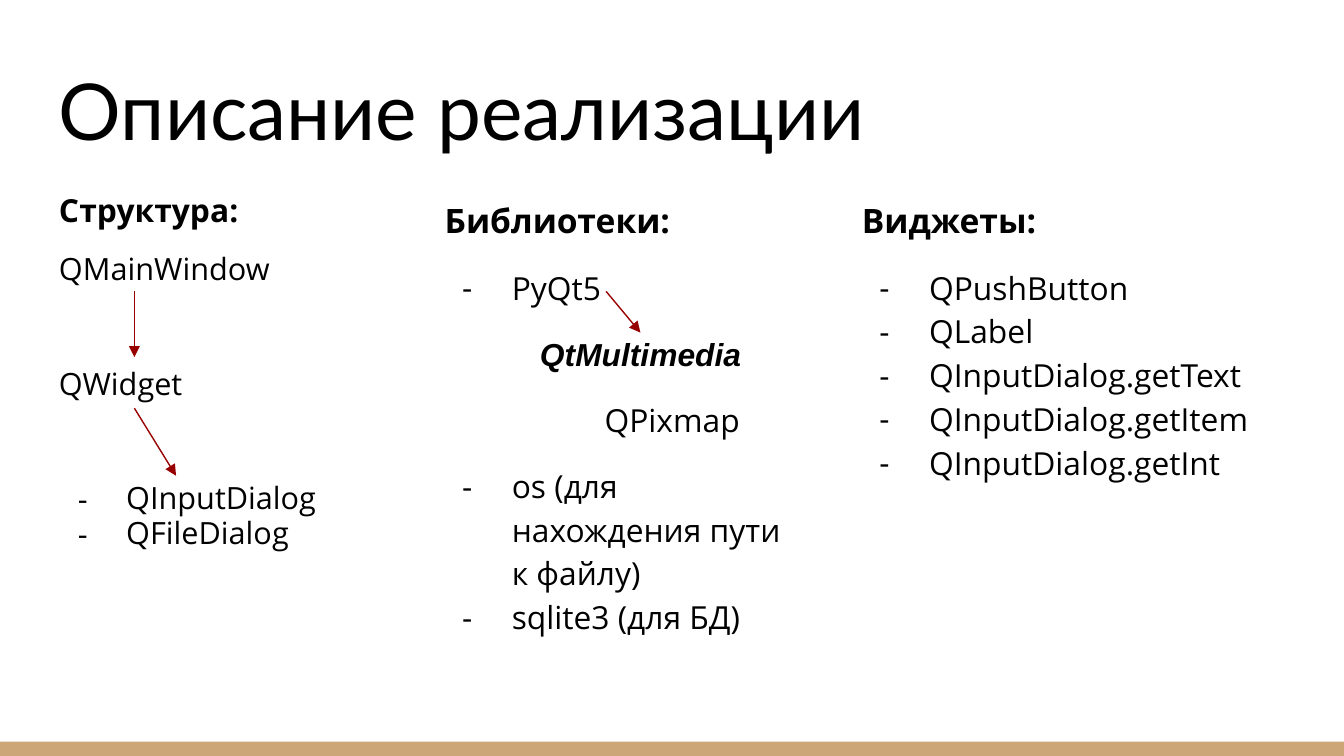
from pptx import Presentation
from pptx.dml.color import RGBColor
from pptx.enum.shapes import MSO_CONNECTOR as Link, MSO_SHAPE as Form
from pptx.enum.text import MSO_ANCHOR as Anchor
from pptx.oxml.ns import qn
from pptx.util import Inches, Pt
from lxml.etree import SubElement as Sub

BLACK = RGBColor(0x00, 0x00, 0x00)
WHITE = RGBColor(0xFF, 0xFF, 0xFF)
SAND = RGBColor(0xCC, 0xA6, 0x77)
RED = RGBColor(0x98, 0x00, 0x00)

WIDE = Inches(10)
HIGH = WIDE * 9 // 16
GAP = 12  # points above a paragraph
SKIP = 42.75  # the gap plus one empty row, for an arrow
SANS = "Open Sans"

# Each row: text, space above, indent in inches, dash, other font values
TREE = [
    ("QMainWindow", GAP, 0, False, {}),
    ("QWidget", SKIP, 0, False, {}),
    ("QInputDialog", SKIP, 0.5, True, {}),
    ("QFileDialog", 0, 0.5, True, {}),
]
LIBS = [
    ("PyQt5", GAP, 0.5, True, {}),
    ("QtMultimedia", GAP, 0.71, False,
     {"name": "Arial", "bold": True, "italic": True}),
    ("QPixmap", GAP, 1.19, False, {}),
    ("os (для нахождения пути к файлу)", GAP, 0.5, True, {}),
    ("sqlite3 (для БД)", 0, 0.5, True, {}),
]
NAMES = ["QPushButton", "QLabel", "QInputDialog.getText",
         "QInputDialog.getItem", "QInputDialog.getInt"]
PARTS = [(name, 0 if i else GAP, 0.5, True, {})
         for i, name in enumerate(NAMES)]


def place(x, y, w, h):
    """Turn percentages of the slide into lengths."""
    return [int(side * part / 100)
            for side, part in zip((WIDE, HIGH, WIDE, HIGH), (x, y, w, h))]


def style(font, **values):
    for key, value in values.items():
        setattr(font, key, value)
    font.color.rgb = BLACK


def add_frame(slide, box, anchor=Anchor.TOP):
    frame = slide.shapes.add_textbox(*place(*box)).text_frame
    look = {"word_wrap": True, "vertical_anchor": anchor}
    look.update({f"margin_{side}": Inches(0.1)
                 for side in ("left", "top", "right", "bottom")})
    for key, value in look.items():
        setattr(frame, key, value)
    return frame


def indent(para, left, dash, hang):
    props = para._p.get_or_add_pPr()
    props.set("marL", str(Inches(left)))
    props.set("indent", str(-Inches(hang) if dash else 0))
    if dash:
        color = Sub(Sub(props, qn("a:buClr")), qn("a:srgbClr"))
        color.set("val", str(BLACK))
        Sub(props, qn("a:buFont")).set("typeface", SANS)
        Sub(props, qn("a:buChar")).set("char", "-")


def add_title(slide, box, text):
    run = add_frame(slide, box, Anchor.BOTTOM).paragraphs[0].add_run()
    run.text = text
    style(run.font, name="Lato", size=Pt(42))


def add_list(slide, box, head, rows, sizes, pitch, hang):
    """Add a bold heading and its rows; sizes are for heading and rows."""
    frame = add_frame(slide, box)
    lines = [(head, 0, 0, False, {"bold": True, "size": Pt(sizes[0])})] + rows
    for i, (text, above, left, dash, extra) in enumerate(lines):
        para = frame.add_paragraph() if i else frame.paragraphs[0]
        para.line_spacing = pitch
        para.space_before = Pt(above)
        indent(para, left, dash, hang)
        run = para.add_run()
        run.text = text
        base = {"name": SANS, "size": Pt(sizes[1]), "bold": False}
        style(run.font, **{**base, **extra})


def add_arrow(slide, ends):
    line = slide.shapes.add_connector(Link.STRAIGHT, *place(*ends))
    line.line.color.rgb = RED
    line.line.width = Pt(0.75)
    Sub(line.line._get_or_add_ln(), qn("a:tailEnd")).set("type", "triangle")
    Sub(line._element.spPr, qn("a:effectLst"))


def add_band(slide, box):
    band = slide.shapes.add_shape(Form.RECTANGLE, *place(*box))
    band.shadow.inherit = False
    band.fill.solid()
    band.fill.fore_color.rgb = SAND
    band.line.fill.background()


def main():
    deck = Presentation()
    deck.slide_width, deck.slide_height = WIDE, HIGH
    slide = deck.slides.add_slide(deck.slide_layouts[6])
    slide.background.fill.solid()
    slide.background.fill.fore_color.rgb = WHITE

    add_band(slide, (0, 98.1, 100, 1.9))
    add_title(slide, (3.41, 6.2, 93.18, 16.2), "Описание реализации")

    top, wide, high = 23.87, 28.7, 65.24
    add_list(slide, (3.41, top, wide, high), "Cтруктура:", TREE,
             (17, 16.4), 0.95, 0.36)
    add_list(slide, (32.1, top, wide, high), "Библиотеки:", LIBS,
             (18, 17), 1.15, 0.37)
    add_list(slide, (63.15, top, 45.6, 76.13), "Виджеты:", PARTS,
             (18, 17), 1.15, 0.37)

    for ends in ((10, 38.55, 10, 47.25),
                 (10, 54, 13.1, 62.93),
                 (45.1, 38.55, 47.65, 44)):
        add_arrow(slide, ends)
    deck.save("out.pptx")


if __name__ == "__main__":
    main()
